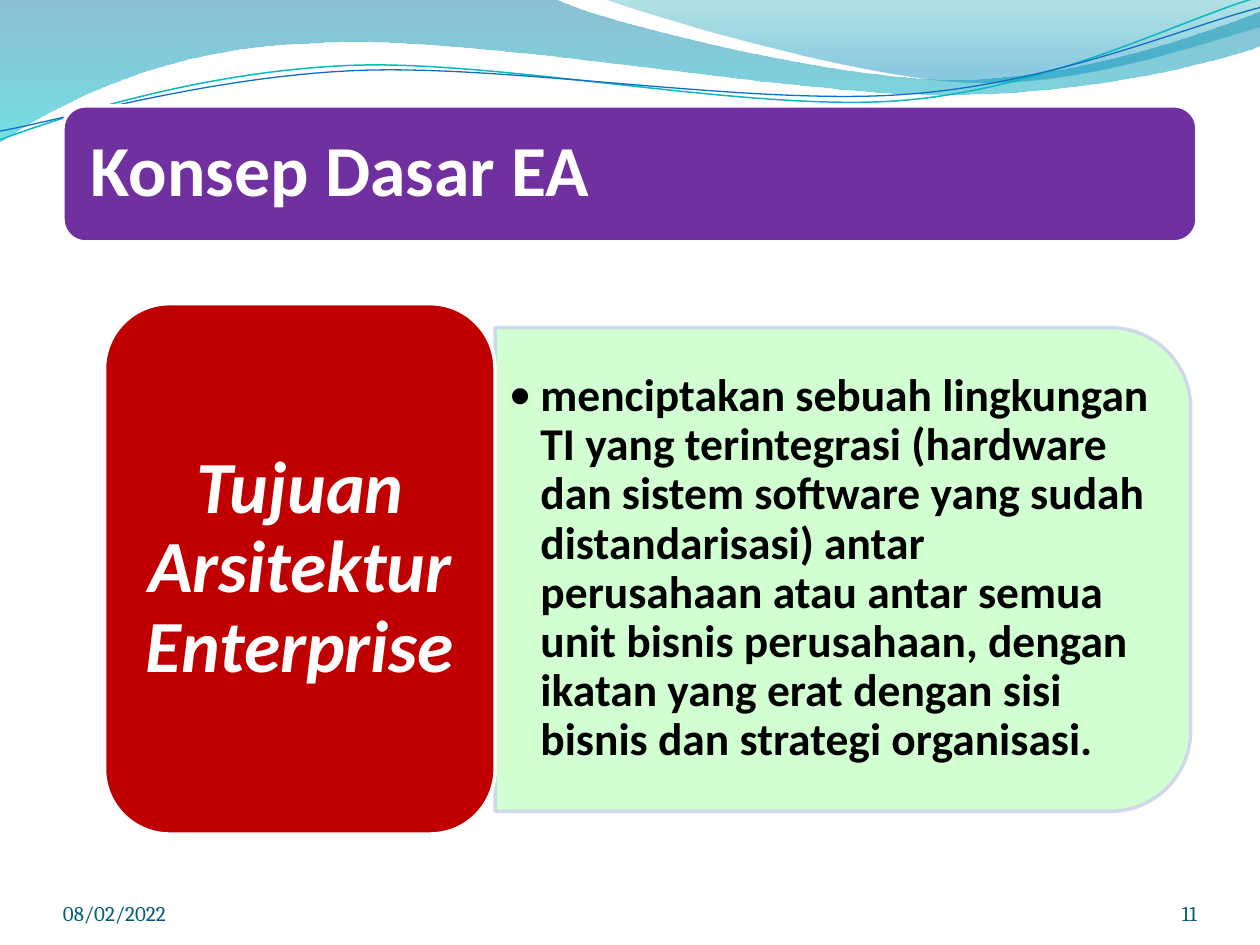
from itertools import chain

from lxml.etree import SubElement
from pptx import Presentation
from pptx.dml.color import RGBColor
from pptx.enum.shapes import MSO_SHAPE as Shape
from pptx.enum.text import MSO_ANCHOR as Anchor, MSO_AUTO_SIZE as AutoSize, PP_ALIGN as Align
from pptx.oxml.ns import qn
from pptx.util import Inches, Pt

COLORS = {
    "white": "FFFFFF", "black": "000000", "banner": "7030A0", "goal": "C00000",
    "detail": "CCFFCC", "detail_edge": "CCD5EA", "footer": "045D75",
    "deep": "0074A1", "cyan": "00C6CF", "teal": "00A1A9", "sky": "008BBF",
    "teal_line": "0AB8BF", "blue_line": "0F6FC6",
}
COLUMNS, ROWS = 100, 75
TITLE_ONLY = 5


def rgb(name):
    return RGBColor.from_string(COLORS[name])


def set_alpha(color_parent, percent):
    """Make the solid colour inside an XML element partly transparent."""
    color = color_parent.find(".//" + qn("a:srgbClr"))
    SubElement(color, qn("a:alpha")).set("val", str(percent * 1000))


def bend(shape, segments):
    """Turn each three-point segment of a freeform into one cubic curve."""
    route = shape._element.find(".//" + qn("a:path"))
    lines = iter(route.findall(qn("a:lnTo")))
    for segment in segments:
        steps = [next(lines) for _ in segment]
        if len(segment) == 3:
            curve = route.makeelement(qn("a:cubicBezTo"))
            steps[0].addprevious(curve)
            for step in steps:
                curve.append(step[0])
                route.remove(step)


def write(target, text, size, color, font="Calibri", bold=False, italic=False,
          align=Align.LEFT, anchor=Anchor.MIDDLE, insets=(0, 0), spacing=1.0, bullet=None):
    frame = target.text_frame
    frame.word_wrap = True
    frame.auto_size = AutoSize.NONE
    frame.vertical_anchor = anchor
    frame.margin_left = frame.margin_right = Inches(insets[0])
    frame.margin_top = frame.margin_bottom = Inches(insets[1])
    paragraph = frame.paragraphs[0]
    paragraph.alignment = align
    paragraph.line_spacing = spacing
    run = paragraph.add_run()
    run.text = text
    run.font.name, run.font.size = font, Pt(size)
    run.font.bold, run.font.italic = bold, italic
    run.font.color.rgb = rgb(color)
    if bullet:
        paragraph.level = 1
        properties = paragraph._p.get_or_add_pPr()
        properties.set("marL", str(Inches(0.25)))
        properties.set("indent", str(-Inches(0.25)))
        SubElement(properties, qn("a:buFont")).set("typeface", font)
        SubElement(properties, qn("a:buChar")).set("char", bullet)


class SlideBuilder:
    """Places elements on a 100 by 75 grid of the current slide."""

    def __init__(self, deck):
        self.column = deck.slide_width / COLUMNS
        self.row = deck.slide_height / ROWS
        self.slide = deck.slides.add_slide(deck.slide_layouts[TITLE_ONLY])
        self.shapes = self.slide.shapes

    def box(self, left, top, width, height):
        return (round(left * self.column), round(top * self.row),
                round(width * self.column), round(height * self.row))

    def outline(self, start, segments, closed):
        """Draw from start along (point,) lines and (control, control, end) curves."""
        scaled = [(x * self.column, y * self.row) for x, y in chain([start], *segments)]
        builder = self.shapes.build_freeform(*scaled[0], scale=1.0)
        builder.add_line_segments(scaled[1:], close=closed)
        shape = builder.convert_to_shape()
        bend(shape, segments)
        shape.shadow.inherit = False
        return shape

    def wave(self, start, *segments, stops):
        band = self.outline(start, segments, True)
        band.line.fill.background()
        band.fill.gradient()
        band.fill.gradient_angle = 270
        for stop, (position, color, alpha) in zip(band.fill.gradient_stops, stops):
            stop.position = position
            stop.color.rgb = rgb(color)
            set_alpha(stop._gs, alpha)

    def ripple(self, start, *segments, color, width):
        curve = self.outline(start, segments, False)
        curve.fill.background()
        curve.line.color.rgb = rgb(color)
        curve.line.width = Pt(width)

    def panel(self, kind, place, fill, edge="white", rotation=0, alpha=None):
        panel = self.shapes.add_shape(kind, *self.box(*place))
        panel.rotation = rotation
        panel.shadow.inherit = False
        panel.fill.solid()
        panel.fill.fore_color.rgb = rgb(fill)
        panel.line.color.rgb = rgb(edge)
        panel.line.width = Pt(2)
        if alpha:
            set_alpha(panel._element.spPr.find(qn("a:solidFill")), alpha)
            set_alpha(panel._element.spPr.find(qn("a:ln")), alpha)

    def text(self, place, words, **style):
        write(self.shapes.add_textbox(*self.box(*place)), words, **style)

    def title(self, place, words, **style):
        title = self.shapes.title
        title.left, title.top, title.width, title.height = self.box(*place)
        write(title, words, **style)
        self.shapes._spTree.append(title._element)  # in front of its banner


def draw_waves(page):
    page.wave(
        (0, 0), ((44, -0.1),),
        ((47.6, 1.7), (66.4, 6.3), (75.8, 6.3)), ((85.3, 6.3), (95.8, 2.6), (100, 0.9)),
        ((100.1, 3.6),),
        ((98.3, 4.4), (87, 7.6), (74.6, 7.5)), ((62.2, 7.5), (38.2, 2.8), (25.7, 3.4)),
        ((12.9, 3.6), (4.6, 8.3), (-0.1, 11.3)),
        stops=[(0, "deep", 45), (1, "cyan", 55)])
    page.wave(
        (47.9, -0.1), ((50.9, 1.1), (68.2, 6.2), (76.9, 6.5)),
        ((85.6, 6.9), (96.1, 3.2), (100, 2.1)), ((100, 0),),
        stops=[(0, "teal", 30), (0.8, "sky", 45)])
    page.ripple(
        (0, 11.1), ((4.8, 9.3), (15.8, 5.7), (27.7, 5.2)),
        ((39.5, 4.7), (59.3, 8.9), (71.3, 8)), ((83.3, 7.1), (93.8, 1.5), (99.8, -0.2)),
        color="teal_line", width=0.85)
    page.ripple(
        (0, 10.4), ((4.7, 9.6), (16.4, 6.1), (28.3, 5.6)),
        ((40.3, 5.1), (59.7, 8.4), (71.7, 7.5)), ((83.6, 6.7), (94.1, 2.1), (100, 0.6)),
        color="blue_line", width=0.75)


def main():
    deck = Presentation()
    deck.slide_width, deck.slide_height = Inches(10), Inches(7.5)
    page = SlideBuilder(deck)
    draw_waves(page)

    page.panel(Shape.ROUND_2_SAME_RECTANGLE, (47.7, 17.6, 38.4, 55.2), "detail",
               edge="detail_edge", rotation=90, alpha=90)
    page.text((39.3, 27.8, 53.3, 34.7),
              "menciptakan sebuah lingkungan TI yang terintegrasi (hardware dan sistem "
              "software yang sudah distandarisasi) antar perusahaan atau antar semua unit "
              "bisnis perusahaan, dengan ikatan yang erat dengan sisi bisnis dan strategi "
              "organisasi.",
              size=26, color="black", bold=True, insets=(0.11, 0.05), spacing=0.9, bullet="•")
    page.panel(Shape.ROUNDED_RECTANGLE, (8.3, 24.1, 31, 42.1), "goal")
    page.text((9.8, 25.6, 28, 39.1), "Tujuan Arsitektur Enterprise", size=42, color="white",
              bold=True, italic=True, align=Align.CENTER, insets=(0.17, 0.09), spacing=0.9)

    page.panel(Shape.ROUNDED_RECTANGLE, (5, 8.4, 90, 10.8), "banner")
    page.title((5.5, 8.9, 89, 9.7), "Konsep Dasar EA", size=41, color="white",
               bold=True, insets=(0.17, 0.17), spacing=0.9)

    footer = dict(size=12, color="footer", font="Cambria", anchor=Anchor.BOTTOM)
    page.text((5, 69.5, 23.3, 4), "08/02/2022", **footer)
    page.text((86.7, 69.5, 8.3, 4), "11", align=Align.RIGHT, **footer)
    deck.save("out.pptx")


if __name__ == "__main__":
    main()
